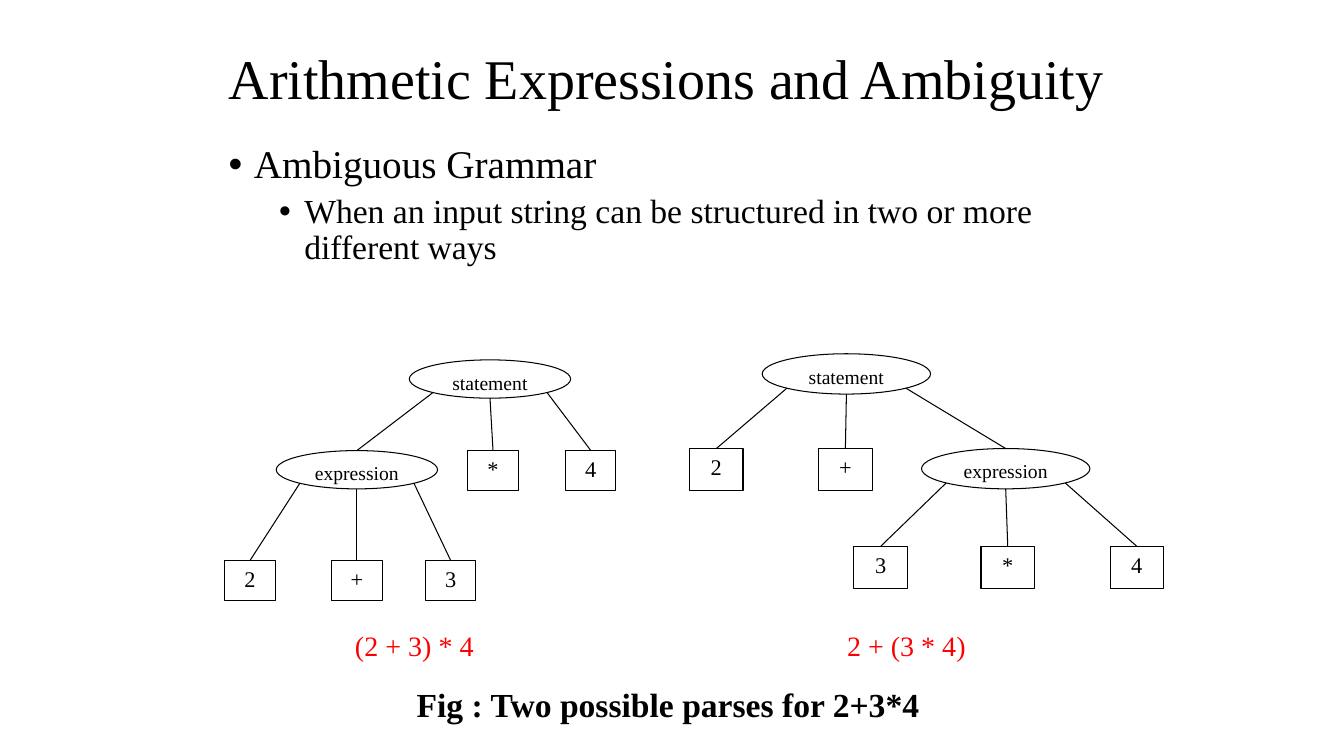
"""Build a slide that compares two parse trees of an ambiguous expression."""
import math
from dataclasses import dataclass

import pptx
import pptx.dml.color
import pptx.enum.shapes
import pptx.enum.text
import pptx.oxml
import pptx.oxml.ns
import pptx.shapes.autoshape
import pptx.shapes.group
import pptx.slide
import pptx.text.text
import pptx.util
from lxml import etree

Inches = pptx.util.Inches
Pt = pptx.util.Pt
Align = pptx.enum.text.PP_ALIGN
Anchor = pptx.enum.text.MSO_ANCHOR


@dataclass(frozen=True)
class Theme:
    """Colours, font and type sizes of the slide."""
    font: str = "Times New Roman"
    ink: str = "000000"
    paper: str = "FFFFFF"
    accent: str = "FF0000"
    title: int = 40
    bullet: int = 28
    detail: int = 24
    caption: int = 24
    formula: int = 20
    symbol: int = 16
    rule: int = 14
    line: float = 0.75


@dataclass(frozen=True)
class Node:
    """A parse tree node; one with children is an ellipse."""
    label: str
    left: float
    top: float
    children: tuple["Node", ...] = ()


@dataclass(frozen=True)
class Tree:
    """A parse tree with the sizes of its ellipses and boxes."""
    root: Node
    ellipse: tuple[float, float]
    box: tuple[float, float]


@dataclass(frozen=True)
class Label:
    """A single-line text box."""
    text: str
    place: tuple[float, float, float, float]
    size: int
    color: str
    align: Align = Align.CENTER
    anchor: Anchor = Anchor.TOP
    bold: bool = False
    spacing: float = 1.0


@dataclass(frozen=True)
class Bullet:
    """A bulleted paragraph."""
    text: str
    size: int
    level: int
    indent: float
    before: int


THEME = Theme()

TREES = (
    Tree(
        Node("statement", 4.06, 3.57, (
            Node("expression", 2.74, 4.47, (
                Node("2", 2.23, 5.56), Node("+", 3.29, 5.56), Node("3", 4.22, 5.56))),
            Node("*", 4.64, 4.47),
            Node("4", 5.61, 4.47))),
        ellipse=(1.6, 0.38), box=(0.5, 0.4)),
    Tree(
        Node("statement", 7.56, 3.51, (
            Node("2", 6.84, 4.45),
            Node("+", 8.12, 4.45),
            Node("expression", 9.14, 4.45, (
                Node("3", 8.47, 5.42), Node("*", 9.73, 5.42), Node("4", 11.01, 5.42))))),
        ellipse=(1.67, 0.4), box=(0.53, 0.42)),
)

LABELS = (
    Label("Arithmetic Expressions and Ambiguity", (2.17, 0.3, 9, 1.01), THEME.title,
          THEME.ink, Align.LEFT, Anchor.MIDDLE, spacing=0.9),
    Label("Fig : Two possible parses for 2+3*4", (3.67, 6.74, 5.91, 0.5), THEME.caption,
          THEME.ink, bold=True),
    Label("(2 + 3) * 4", (3.36, 6.19, 1.5, 0.44), THEME.formula, THEME.accent),
    Label("2 + (3 * 4)", (8.24, 6.19, 1.5, 0.44), THEME.formula, THEME.accent),
)

BULLETS = (
    Bullet("Ambiguous Grammar", THEME.bullet, 0, 0.25, 10),
    Bullet("When an input string can be structured in two or more different ways",
           THEME.detail, 1, 0.75, 5),
)


def rgb(color: str) -> pptx.dml.color.RGBColor:
    """Turn a hex string into a colour."""
    return pptx.dml.color.RGBColor.from_string(color)


def style(para: pptx.text.text._Paragraph, size: int, color: str, bold: bool = False) -> None:
    """Format every run of a paragraph."""
    for span in para.runs:
        span.font.name = THEME.font
        span.font.size = Pt(size)
        span.font.bold = bold
        span.font.color.rgb = rgb(color)


def draw_label(page: pptx.slide.Slide, label: Label) -> None:
    """Draw one text box."""
    box = page.shapes.add_textbox(*map(Inches, label.place))
    frame = box.text_frame
    frame.word_wrap = True
    frame.vertical_anchor = label.anchor
    frame.text = label.text
    para = frame.paragraphs[0]
    para.alignment = label.align
    para.line_spacing = label.spacing
    style(para, label.size, label.color, label.bold)


def draw_bullets(page: pptx.slide.Slide) -> None:
    """Draw the bulleted definition."""
    box = page.shapes.add_textbox(Inches(2.17), Inches(1.39), Inches(9), Inches(5.31))
    frame = box.text_frame
    frame.word_wrap = True
    for index, bullet in enumerate(BULLETS):
        para = frame.add_paragraph() if index else frame.paragraphs[0]
        para.text = bullet.text
        para.level = bullet.level
        para.line_spacing = 0.9
        para.space_before = Pt(bullet.before)
        style(para, bullet.size, THEME.ink)
        properties = para._p.get_or_add_pPr()
        properties.set("marL", str(Inches(bullet.indent)))
        properties.set("indent", str(Inches(-0.25)))
        font = etree.SubElement(properties, pptx.oxml.ns.qn("a:buFont"))
        font.set("typeface", "Arial")
        mark = etree.SubElement(properties, pptx.oxml.ns.qn("a:buChar"))
        mark.set("char", "•")


def draw_edge(group: pptx.shapes.group.GroupShape, parent: pptx.shapes.autoshape.Shape,
              child: pptx.shapes.autoshape.Shape, side: int) -> None:
    """Join the lower left, bottom or lower right of an ellipse to a child's top."""
    reach = math.sqrt(0.5)
    drop = reach if side else 1
    start_x = parent.left + round(parent.width * (1 + side * reach) / 2)
    start_y = parent.top + round(parent.height * (1 + drop) / 2)
    edge = group.shapes.add_connector(
        pptx.enum.shapes.MSO_CONNECTOR.STRAIGHT, start_x, start_y,
        child.left + child.width // 2, child.top)
    edge.end_connect(child, 0)
    edge.line.color.rgb = rgb(THEME.ink)
    edge.line.width = Pt(THEME.line)
    etree.SubElement(edge._element.spPr, pptx.oxml.ns.qn("a:effectLst"))


def draw_node(group: pptx.shapes.group.GroupShape, tree: Tree,
              node: Node) -> pptx.shapes.autoshape.Shape:
    """Draw a node with its subtree and return the node's shape."""
    kinds = pptx.enum.shapes.MSO_SHAPE
    kind, extent, size = (
        (kinds.OVAL, tree.ellipse, THEME.rule) if node.children
        else (kinds.RECTANGLE, tree.box, THEME.symbol))
    shape = group.shapes.add_shape(kind, *map(Inches, (node.left, node.top, *extent)))
    shape.shadow.inherit = False
    shape.fill.solid()
    shape.fill.fore_color.rgb = rgb(THEME.paper)
    shape.line.color.rgb = rgb(THEME.ink)
    shape.line.width = Pt(THEME.line)
    frame = shape.text_frame
    frame.vertical_anchor = Anchor.TOP
    frame.text = node.label
    frame.paragraphs[0].alignment = Align.CENTER
    style(frame.paragraphs[0], size, THEME.ink)
    for side, child in zip((-1, 0, 1), node.children):
        draw_edge(group, shape, draw_node(group, tree, child), side)
    return shape


def main() -> None:
    """Build and save the deck."""
    deck = pptx.Presentation()
    deck.slide_width, deck.slide_height = Inches(13.33), Inches(7.5)
    page = deck.slides.add_slide(deck.slide_layouts[6])
    draw_bullets(page)
    for tree in TREES:
        draw_node(page.shapes.add_group_shape(), tree, tree.root)
    for label in LABELS:
        draw_label(page, label)
    deck.save("out.pptx")


if __name__ == "__main__":
    main()
